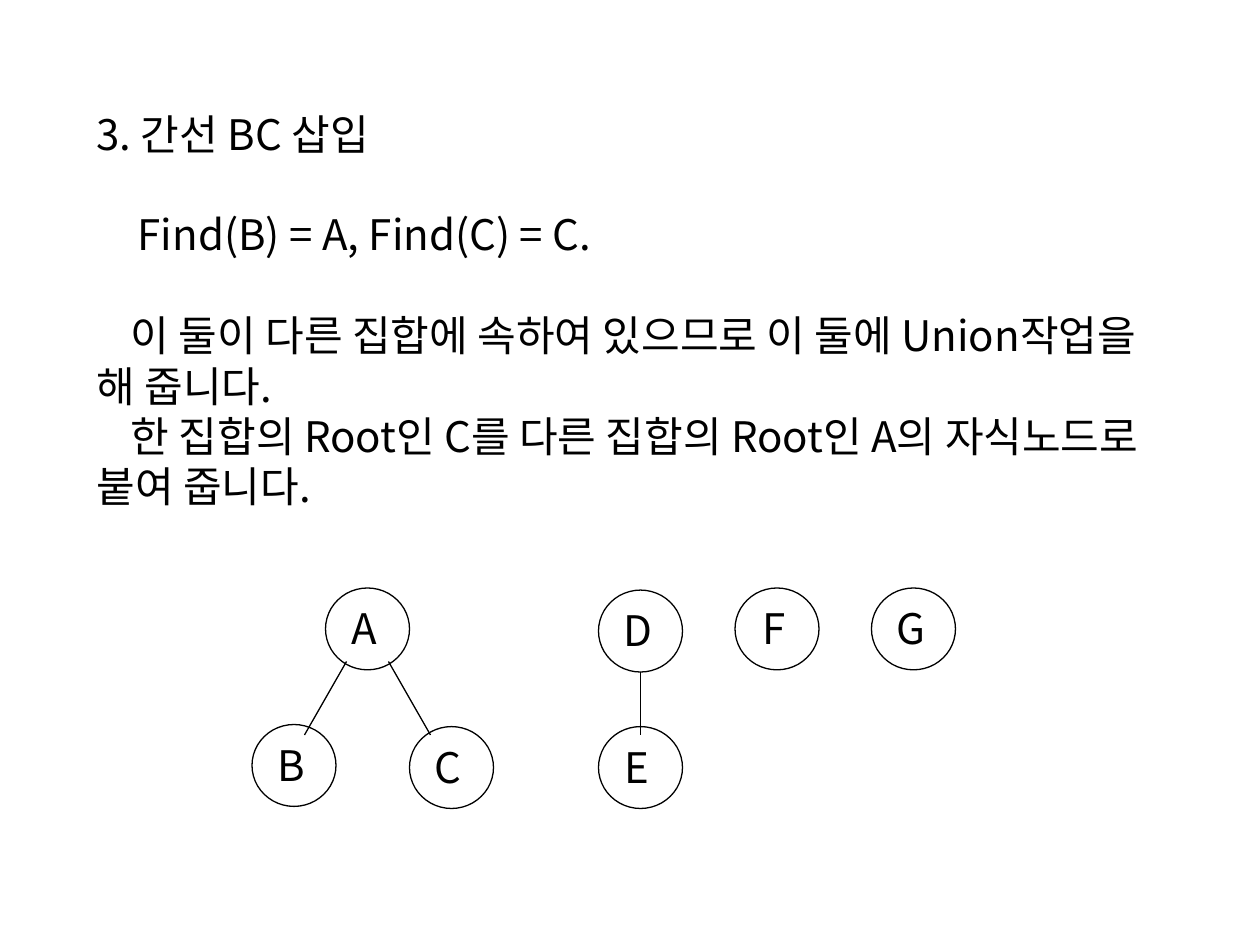
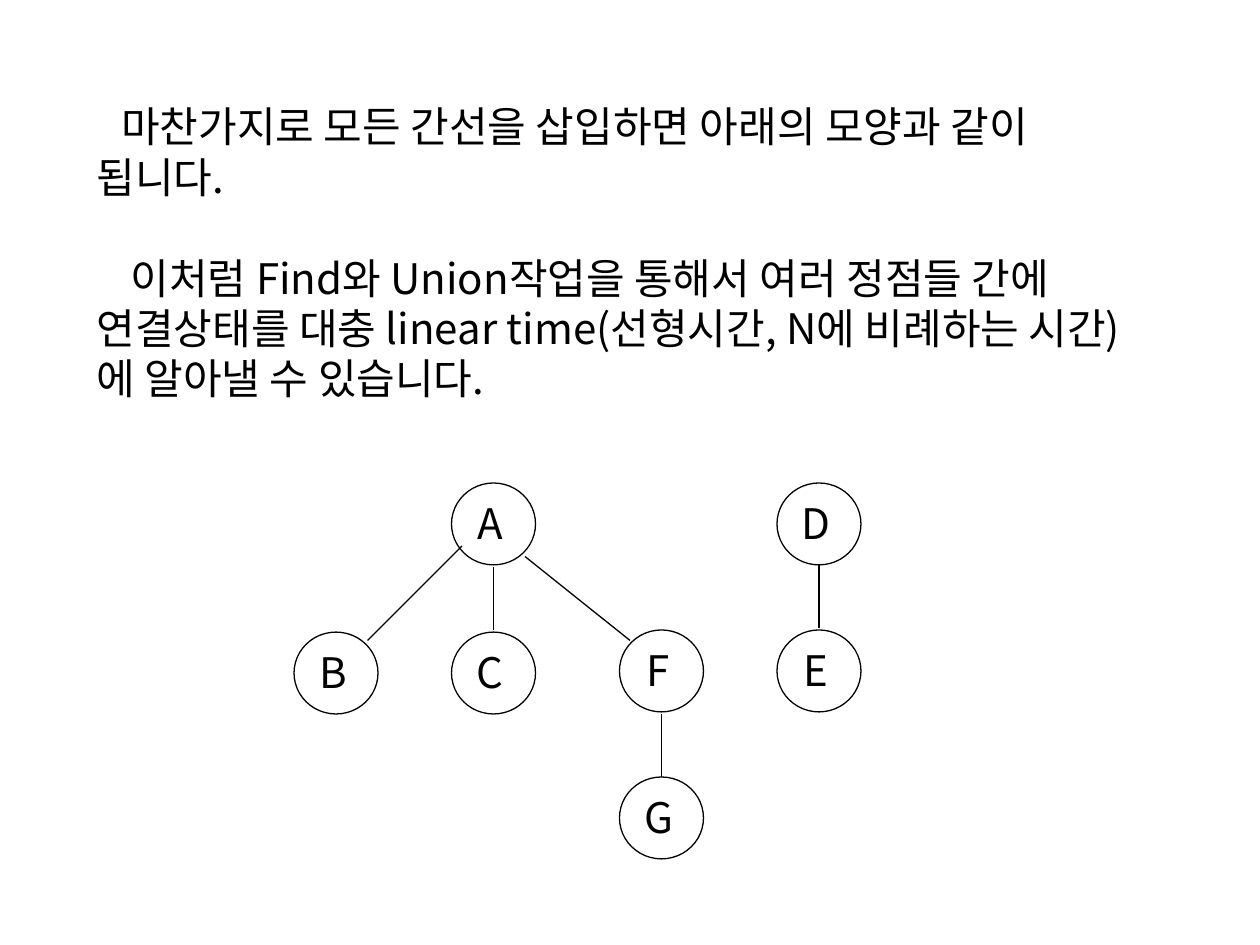
import pptx
import pptx.util
import pptx.dml.color
import pptx.enum.shapes
import pptx.enum.text
import pptx.oxml
import pptx.oxml.ns

Pt = pptx.util.Pt
BLACK = pptx.dml.color.RGBColor(0, 0, 0)
WHITE = pptx.dml.color.RGBColor(255, 255, 255)
FONT_NAME = "Noto Sans CJK KR"
LINE_HEIGHT = 28.8
NODE_WIDTH, NODE_HEIGHT = 48, 46.8
LABEL_BOX = (7.2, 4.8, 30, 36)  # relative to the node

FONT_FORMAT = {"name": FONT_NAME, "size": Pt(24), "bold": False}
FRAME_FORMAT = {
    "margin_left": Pt(7.2), "margin_right": Pt(7.2),
    "margin_top": Pt(3.6), "margin_bottom": Pt(3.6),
}
TITLE_FORMAT = FRAME_FORMAT | {
    "word_wrap": True,
    "auto_size": pptx.enum.text.MSO_AUTO_SIZE.NONE,
    "vertical_anchor": pptx.enum.text.MSO_ANCHOR.MIDDLE,
}
LABEL_FORMAT = FRAME_FORMAT | {
    "word_wrap": False,
    "auto_size": pptx.enum.text.MSO_AUTO_SIZE.SHAPE_TO_FIT_TEXT,
    "vertical_anchor": pptx.enum.text.MSO_ANCHOR.TOP,
}

# Paragraphs: text, first-line indent, blank lines before
INSERT_BC_TEXT = [
    ("3. 간선 BC 삽입", 0, 0),
    ("Find(B) = A, Find(C) = C.", 23.5, 1),
    ("이 둘이 다른 집합에 속하여 있으므로 이 둘에 Union작업을 해 줍니다.", 19.5, 1),
    ("한 집합의 Root인 C를 다른 집합의 Root인 A의 자식노드로 붙여 줍니다.", 19.5, 0),
]
RESULT_TEXT = [
    ("마찬가지로 모든 간선을 삽입하면 아래의 모양과 같이 됩니다.", 14, 0),
    ("이처럼 Find와 Union작업을 통해서 여러 정점들 간에 연결상태를 대충 "
     "linear time(선형시간, N에 비례하는 시간)에 알아낼 수 있습니다.", 19.5, 1),
]

# Nodes (left, top) and edges (x1, y1, x2, y2), relative to the forest
INSERT_BC_NODES = {
    "A": (42, 0), "B": (0, 78), "C": (90, 79.2), "D": (198, 1.2),
    "E": (198, 79.2), "F": (276, 0), "G": (354, 0),
}
INSERT_BC_EDGES = [(54, 42, 30, 84), (78, 42, 102, 84), (222, 48, 222, 84)]
RESULT_NODES = {
    "D": (276, 0), "E": (276, 84), "A": (90, 0), "B": (0, 85.2),
    "C": (90, 85.2), "F": (186, 84), "G": (186, 168),
}
RESULT_EDGES = [
    (300, 46.8, 300, 82.8), (210, 132, 210, 168), (114, 48, 114, 84),
    (132, 42, 192, 90), (96, 36, 42, 90),
]


def apply_format(target, values):
    for name, value in values.items():
        setattr(target, name, value)


def write_span(para, text):
    span = para.add_run()
    span.text = text
    apply_format(span.font, FONT_FORMAT)
    span.font.color.rgb = BLACK
    east_asian = pptx.oxml.parse_xml(
        f'<a:ea {pptx.oxml.ns.nsdecls("a")} typeface="{FONT_NAME}"/>')
    span.font._element.append(east_asian)


def style_line(line):
    line.color.rgb = BLACK
    line.width = Pt(0.75)


def add_explanation(page, box, paragraphs):
    title = page.shapes.title
    apply_format(title, dict(zip(("left", "top", "width", "height"), map(Pt, box))))
    frame = title.text_frame
    apply_format(frame, TITLE_FORMAT)
    for index, (text, indent, blank_lines) in enumerate(paragraphs):
        para = frame.add_paragraph() if index else frame.paragraphs[0]
        para.alignment = pptx.enum.text.PP_ALIGN.LEFT
        para.space_before = Pt(blank_lines * LINE_HEIGHT)
        properties = para._p.get_or_add_pPr()
        properties.set("marL", "0")
        properties.set("indent", str(int(Pt(indent))))
        write_span(para, text)


def add_node(group, left, top, letter):
    circle = group.shapes.add_shape(
        pptx.enum.shapes.MSO_SHAPE.OVAL,
        Pt(left), Pt(top), Pt(NODE_WIDTH), Pt(NODE_HEIGHT))
    circle.shadow.inherit = False
    circle.fill.background()
    style_line(circle.line)
    dx, dy, width, height = LABEL_BOX
    label = group.shapes.add_textbox(
        Pt(left + dx), Pt(top + dy), Pt(width), Pt(height))
    apply_format(label.text_frame, LABEL_FORMAT)
    para = label.text_frame.paragraphs[0]
    para.alignment = pptx.enum.text.PP_ALIGN.CENTER
    write_span(para, letter)


def add_edge(group, x1, y1, x2, y2):
    edge = group.shapes.add_connector(
        pptx.enum.shapes.MSO_CONNECTOR.STRAIGHT, Pt(x1), Pt(y1), Pt(x2), Pt(y2))
    style_line(edge.line)
    edge._element.spPr.append(pptx.oxml.parse_xml(
        f'<a:effectLst {pptx.oxml.ns.nsdecls("a")}/>'))


def add_forest(page, left, top, nodes, edges):
    group = page.shapes.add_group_shape()
    for letter, (dx, dy) in nodes.items():
        add_node(group, left + dx, top + dy, letter)
    for x1, y1, x2, y2 in edges:
        add_edge(group, left + x1, top + y1, left + x2, top + y2)


def add_page(deck, text_box, paragraphs, forest_origin, nodes, edges):
    page = deck.slides.add_slide(deck.slide_layouts[5])
    page.background.fill.solid()
    page.background.fill.fore_color.rgb = WHITE
    add_explanation(page, text_box, paragraphs)
    add_forest(page, *forest_origin, nodes, edges)


def main():
    deck = pptx.Presentation()
    deck.slide_width, deck.slide_height = Pt(720), Pt(540)
    # Inserting edge BC
    add_page(deck, (48, 54, 618, 246), INSERT_BC_TEXT,
             (144, 336), INSERT_BC_NODES, INSERT_BC_EDGES)
    # Forest after all edges
    add_page(deck, (48, 42, 618, 204), RESULT_TEXT,
             (168, 276), RESULT_NODES, RESULT_EDGES)
    deck.save("out.pptx")


if __name__ == "__main__":
    main()
